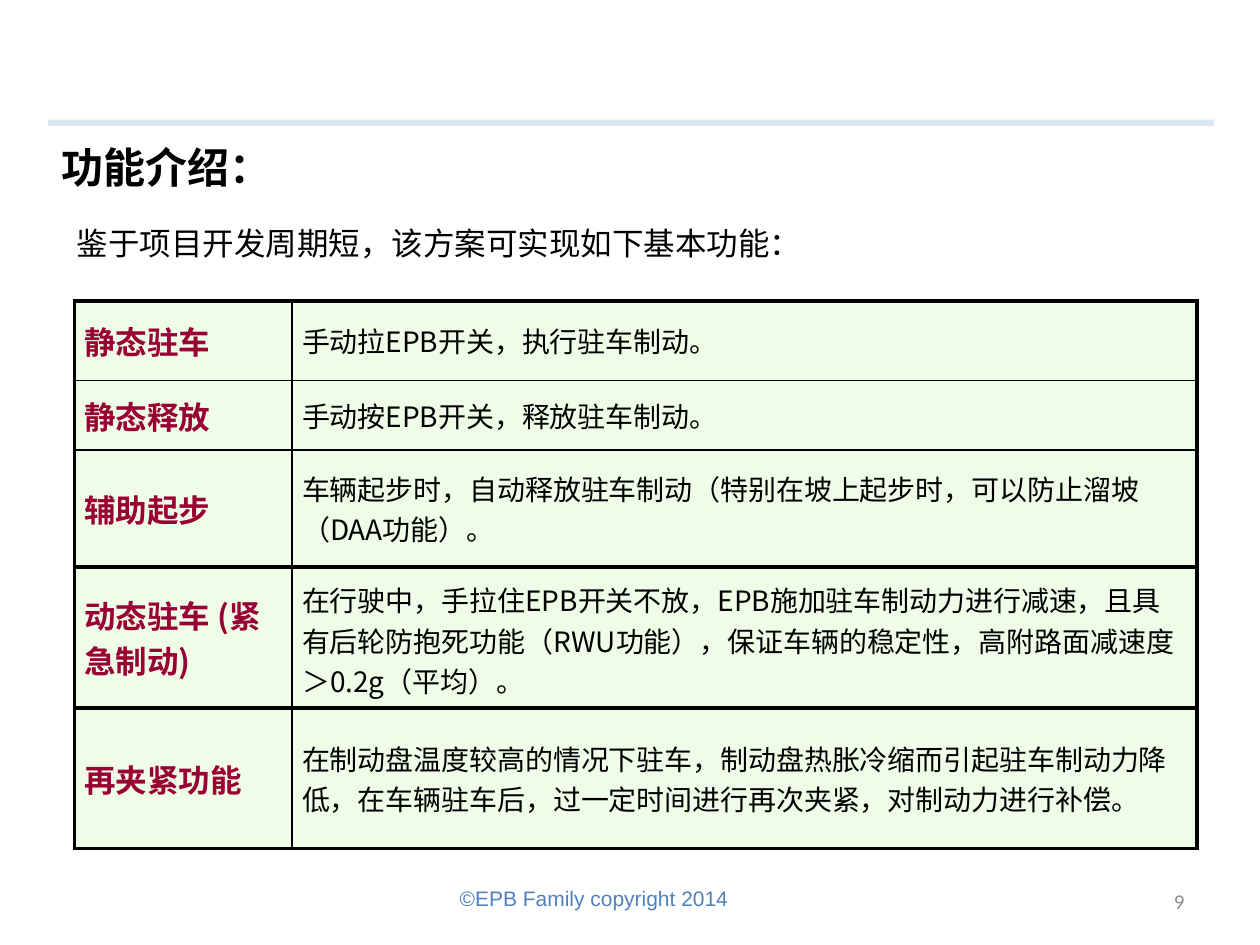
import pptx
import pptx.util
import pptx.dml.color
import pptx.enum.shapes
import pptx.enum.text
import pptx.oxml.ns
import lxml.etree

Cm, Pt = pptx.util.Cm, pptx.util.Pt
ALIGN = pptx.enum.text.PP_ALIGN
ANCHOR = pptx.enum.text.MSO_ANCHOR
qn = pptx.oxml.ns.qn

COLORS = {
    "ink": "000000", "label": "990033", "cell": "EFFCE8",
    "rule": "DCE6F2", "foot": "4F81BD", "number": "8C8C8C",
}
CJK = "Noto Sans CJK SC"
TITLE = "功能介绍："
INTRO = "鉴于项目开发周期短，该方案可实现如下基本功能："
FOOT = "©EPB Family copyright 2014"
NUMBER = "9"
ROWS = [
    ("静态驻车", "手动拉EPB开关，执行驻车制动。"),
    ("静态释放", "手动按EPB开关，释放驻车制动。"),
    ("辅助起步", "车辆起步时，自动释放驻车制动（特别在坡上起步时，可以防止溜坡（DAA功能）。"),
    ("动态驻车 (紧急制动)", "在行驶中，手拉住EPB开关不放，EPB施加驻车制动力进行减速，且具有后轮防抱死功能（RWU功能），保证车辆的稳定性，高附路面减速度＞0.2g（平均）。"),
    ("再夹紧功能", "在制动盘温度较高的情况下驻车，制动盘热胀冷缩而引起驻车制动力降低，在车辆驻车后，过一定时间进行再次夹紧，对制动力进行补偿。"),
]
WIDTHS = [4.39, 18.24]
HEIGHTS = [1.6, 1.4, 2.36, 2.84, 2.84]
THIN, THICK = 1, 2.25
LINES = [THICK, THIN, THIN, THICK, THICK, THICK]  # row borders, top to bottom
SIDES = [THICK, THIN, THICK]  # column borders, left to right


def rgb(name):
    return pptx.dml.color.RGBColor.from_string(COLORS[name])


def write(frame, text, size, color, font=CJK, bold=False, align=ALIGN.LEFT):
    para = frame.paragraphs[0]
    para.alignment = align
    run = para.add_run()
    run.text = text
    run.font.size, run.font.bold, run.font.name = Pt(size), bold, font
    run.font.color.rgb = rgb(color)
    east = lxml.etree.Element(qn("a:ea"), typeface=font)
    run.font._element.find(qn("a:latin")).addnext(east)
    return para


def place(shape, left, top, width, height):
    shape.left, shape.top = Cm(left), Cm(top)
    shape.width, shape.height = Cm(width), Cm(height)


def add_text(slide, box, anchor):
    frame = slide.shapes.add_textbox(*map(Cm, box)).text_frame
    frame.word_wrap = True
    frame.vertical_anchor = anchor
    return frame


def add_border(cell, side, width):
    line = lxml.etree.SubElement(cell._tc.get_or_add_tcPr(), qn("a:ln" + side),
                                 w=str(Pt(width)))
    fill = lxml.etree.SubElement(line, qn("a:solidFill"))
    lxml.etree.SubElement(fill, qn("a:srgbClr"), val=COLORS["ink"])


def add_grid(slide):
    frame = slide.shapes.add_table(len(ROWS), len(WIDTHS), Cm(1.5), Cm(6.07),
                                   Cm(sum(WIDTHS)), Cm(sum(HEIGHTS)))
    table = frame.table
    table.first_row = table.horz_banding = False
    for col, width in zip(table.columns, WIDTHS):
        col.width = Cm(width)
    for r, (row, texts) in enumerate(zip(table.rows, ROWS)):
        row.height = Cm(HEIGHTS[r])
        for c, text in enumerate(texts):
            cell = table.cell(r, c)
            cell.margin_left = cell.margin_right = Cm(0.2)
            cell.margin_top = cell.margin_bottom = Cm(0.25)
            cell.vertical_anchor = ANCHOR.MIDDLE
            borders = {"L": SIDES[c], "R": SIDES[c + 1],
                       "T": LINES[r], "B": LINES[r + 1]}
            for side, width in borders.items():
                add_border(cell, side, width)
            cell.fill.solid()
            cell.fill.fore_color.rgb = rgb("cell")
            size, color = (18, "label") if c == 0 else (16, "ink")
            write(cell.text_frame, text, size, color, bold=c == 0)


def main():
    deck = pptx.Presentation()
    deck.slide_width, deck.slide_height = Cm(25.4), Cm(19.05)
    slide = deck.slides.add_slide(deck.slide_layouts[5])

    rule = slide.shapes.add_shape(pptx.enum.shapes.MSO_SHAPE.RECTANGLE,
                                  Cm(0.97), Cm(2.41), Cm(23.5), Cm(0.13))
    rule.shadow.inherit = False
    rule.fill.solid()
    rule.fill.fore_color.rgb = rgb("rule")
    rule.line.fill.background()

    title = slide.shapes.title
    place(title, 0.99, 2.72, 22.81, 1.27)
    frame = title.text_frame
    frame.vertical_anchor = ANCHOR.TOP
    frame.auto_size = pptx.enum.text.MSO_AUTO_SIZE.SHAPE_TO_FIT_TEXT
    write(frame, TITLE, 24, "ink", bold=True)

    intro = add_text(slide, (1.3, 4.01, 22.5, 1.27), ANCHOR.TOP)
    write(intro, INTRO, 18, "ink").line_spacing = 1.5

    add_grid(slide)

    foot = add_text(slide, (1.78, 17.6, 22.61, 0.76), ANCHOR.BOTTOM)
    foot.margin_left = foot.margin_top = foot.margin_bottom = 0
    foot.margin_right = Cm(2.22)
    write(foot, FOOT, 12, "foot", "Arial", align=ALIGN.CENTER)

    number = add_text(slide, (18.21, 17.65, 5.92, 1.02), ANCHOR.MIDDLE)
    write(number, NUMBER, 12, "number", "Calibri", align=ALIGN.RIGHT)

    deck.save("out.pptx")


if __name__ == "__main__":
    main()
